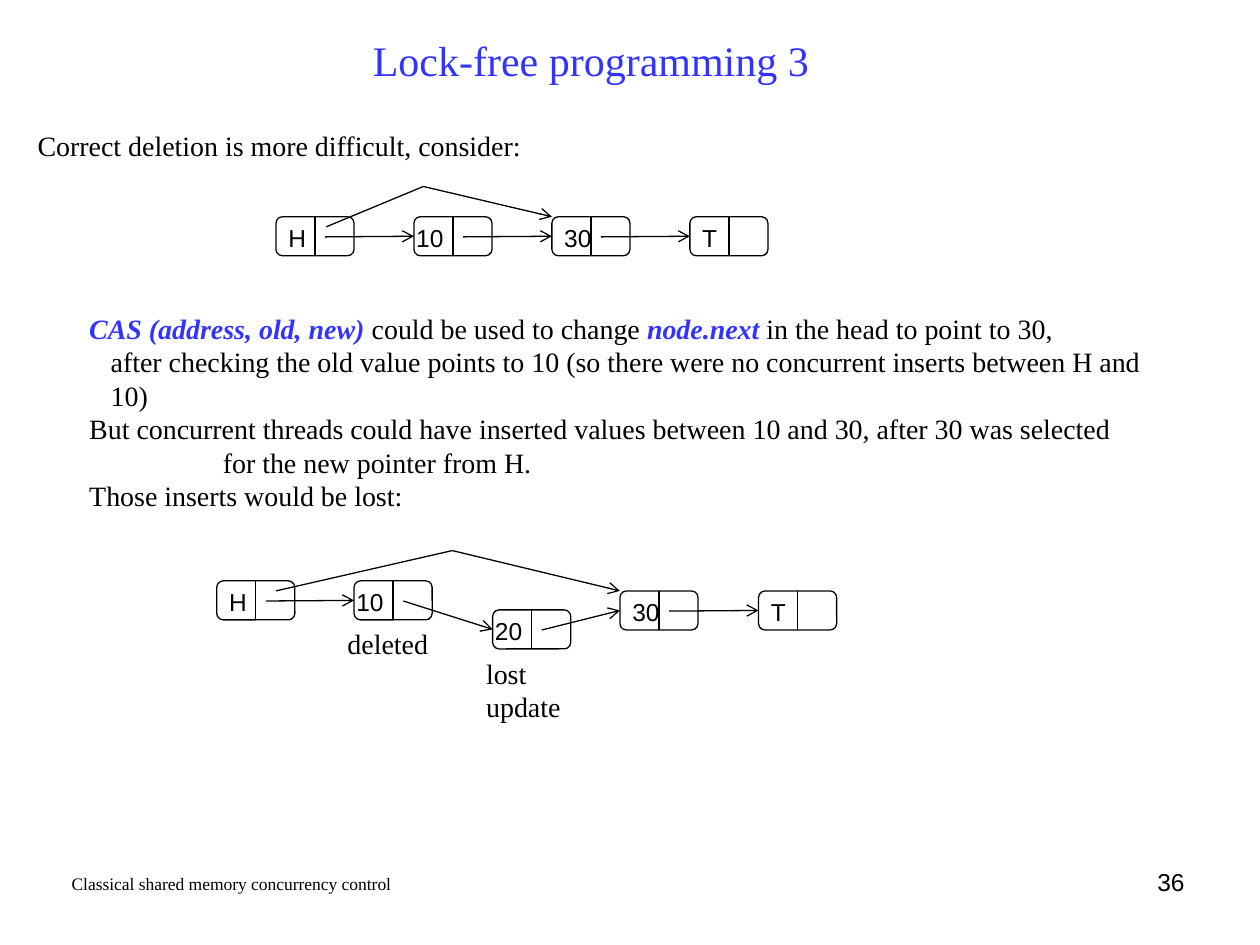
from dataclasses import dataclass
from typing import Optional

from lxml.etree import SubElement
from pptx import Presentation
from pptx.dml.color import RGBColor
from pptx.enum.shapes import MSO_CONNECTOR as Connector, MSO_SHAPE as Preset
from pptx.enum.text import MSO_ANCHOR as Anchor, PP_ALIGN as Align
from pptx.oxml.ns import qn
from pptx.util import Inches, Pt

Point = tuple[float, float]


@dataclass(frozen=True)
class Theme:
    """Colours, fonts and sizes of the slide."""
    ink: RGBColor = RGBColor(0, 0, 0)
    accent: RGBColor = RGBColor(0x33, 0x33, 0xFF)
    serif: str = "Times New Roman"
    sans: str = "Arial"
    title_size: float = 24
    body_size: float = 16
    node_size: float = 14
    footer_size: float = 10
    line_width: float = 0.75


@dataclass(frozen=True)
class Node:
    """A list cell with a value half and a pointer half."""
    label: str
    left: float
    top: float
    label_shift: float = 0

    def pointer(self, across: float = 0.39, down: float = 0.16) -> Point:
        """Return a point inside the pointer half."""
        return self.left + across, self.top + down


@dataclass(frozen=True)
class Chain:
    """Linked nodes and the peak of the pointer that bypasses some of them."""
    nodes: list[Node]
    peak: Point
    bypass_target: int


@dataclass(frozen=True)
class TextLine:
    """A paragraph of (text, emphasised) runs with a left indent."""
    runs: list[tuple[str, bool]]
    indent: float = 0


THEME = Theme()
NODE_WIDTH, NODE_HEIGHT, STEP = 0.62, 0.31, 1.095
NUMBER_SHIFT = -0.08

BEFORE = Chain(
    [Node(label, 2.19 + index * STEP, 1.72, NUMBER_SHIFT if label == "10" else 0)
     for index, label in enumerate(["H", "10", "30", "T"])],
    peak=(3.36, 1.48), bypass_target=2)
AFTER = Chain(
    [Node("H", 1.72, 4.61), Node("10", 2.81, 4.61, NUMBER_SHIFT),
     Node("20", 3.91, 4.84, NUMBER_SHIFT), Node("30", 4.92, 4.69), Node("T", 6.02, 4.69)],
    peak=(3.59, 4.37), bypass_target=3)

EXPLANATION = [
    TextLine([("CAS (address, old, new) ", True), ("could be used to change ", False),
              ("node.next", True), (" in the head to point to 30,", False)]),
    TextLine([("after checking the old value points to 10 "
               "(so there were no concurrent inserts between H and 10)", False)], 0.17),
    TextLine([("But concurrent threads could have inserted values "
               "between 10 and 30, after 30 was selected", False)]),
    TextLine([("for the new pointer from H.", False)], 1.06),
    TextLine([("Those inserts would be lost:", False)]),
]


def add_text(slide, lines: list[TextLine], left: float, top: float, width: float,
             height: float, size: float = THEME.body_size, font: str = THEME.serif,
             color: RGBColor = THEME.ink, align: Align = Align.LEFT, wrap: bool = False):
    """Add a text box holding the given lines and return its frame."""
    box = slide.shapes.add_textbox(Inches(left), Inches(top), Inches(width), Inches(height))
    frame = box.text_frame
    frame.word_wrap = wrap
    for index, line in enumerate(lines):
        paragraph = frame.paragraphs[0] if index == 0 else frame.add_paragraph()
        paragraph.alignment = align
        if line.indent:
            paragraph._p.get_or_add_pPr().set("marL", str(Inches(line.indent)))
        paragraph.font.size = Pt(size)
        paragraph.font.name = font
        paragraph.font.color.rgb = color
        for text, emphasised in line.runs:
            run = paragraph.add_run()
            run.text = text
            if emphasised:
                run.font.bold = run.font.italic = True
                run.font.color.rgb = THEME.accent
    return frame


def add_label(slide, text: str, *bounds: float, **style):
    """Add a text box with one plain line and return its frame."""
    return add_text(slide, [TextLine([(text, False)])], *bounds, **style)


def add_line(slide, start: Point, end: Point, arrow: bool = False, target=None) -> None:
    """Draw a line, joined to the left side of the target if one is given."""
    connector = slide.shapes.add_connector(
        Connector.STRAIGHT, *(Inches(value) for value in (*start, *end)))
    connector.line.color.rgb = THEME.ink
    connector.line.width = Pt(THEME.line_width)
    properties = connector._element.spPr
    if arrow:
        SubElement(properties.find(qn("a:ln")), qn("a:tailEnd"), type="arrow")
    SubElement(properties, qn("a:effectLst"))
    if target is not None:
        connector.end_connect(target, 1)


def add_node(slide, node: Node):
    """Draw a node and return its outline."""
    shape = slide.shapes.add_shape(
        Preset.ROUNDED_RECTANGLE, Inches(node.left), Inches(node.top),
        Inches(NODE_WIDTH), Inches(NODE_HEIGHT))
    shape.shadow.inherit = False
    shape.fill.background()
    shape.line.color.rgb = THEME.ink
    shape.line.width = Pt(THEME.line_width)
    add_label(slide, node.label, node.left + node.label_shift, node.top, 0.47, 0.34,
              size=THEME.node_size, font=THEME.sans, wrap=True)
    middle = node.left + NODE_WIDTH / 2
    add_line(slide, (middle, node.top), (middle, node.top + NODE_HEIGHT))
    return shape


def add_chain(slide, chain: Chain) -> None:
    """Draw the nodes, their next pointers and the bypassing pointer."""
    shapes = [add_node(slide, node) for node in chain.nodes]
    for node, following, target in zip(chain.nodes, chain.nodes[1:], shapes[1:]):
        end = following.left, following.top + NODE_HEIGHT / 2
        add_line(slide, node.pointer(), end, arrow=True, target=target)
    bypassed_to: Optional[Node] = chain.nodes[chain.bypass_target]
    add_line(slide, chain.nodes[0].pointer(0.4 if chain is BEFORE else 0.47, 0.08), chain.peak)
    add_line(slide, chain.peak, (bypassed_to.left, bypassed_to.top), arrow=True)


def main() -> None:
    """Build and save the slide."""
    presentation = Presentation()
    presentation.slide_width, presentation.slide_height = Inches(10), Inches(7.5)
    slide = presentation.slides.add_slide(presentation.slide_layouts[6])
    title = add_label(slide, "Lock-free programming 3", 0.19, 0.16, 9, 0.63,
                      size=THEME.title_size, color=THEME.accent, align=Align.CENTER, wrap=True)
    title.vertical_anchor = Anchor.MIDDLE
    opening = add_label(slide, "Correct deletion is more difficult, consider:",
                        0.2, 1.02, 4.79, 0.32)
    opening.paragraphs[0].line_spacing = 0.8
    add_chain(slide, BEFORE)
    add_text(slide, EXPLANATION, 0.61, 2.42, 8.89, 1.44)
    add_chain(slide, AFTER)
    add_label(slide, "deleted", 2.66, 4.92, 0.84, 0.37)
    add_label(slide, "lost update", 3.76, 5.16, 1.16, 0.37)
    add_label(slide, "Classical shared memory concurrency control", 0.47, 6.88, 3.15, 0.28,
              size=THEME.footer_size, wrap=True)
    add_label(slide, "36", 7.17, 6.83, 2.33, 0.52, size=THEME.node_size,
              font=THEME.sans, align=Align.RIGHT, wrap=True)
    presentation.save("out.pptx")


if __name__ == "__main__":
    main()
